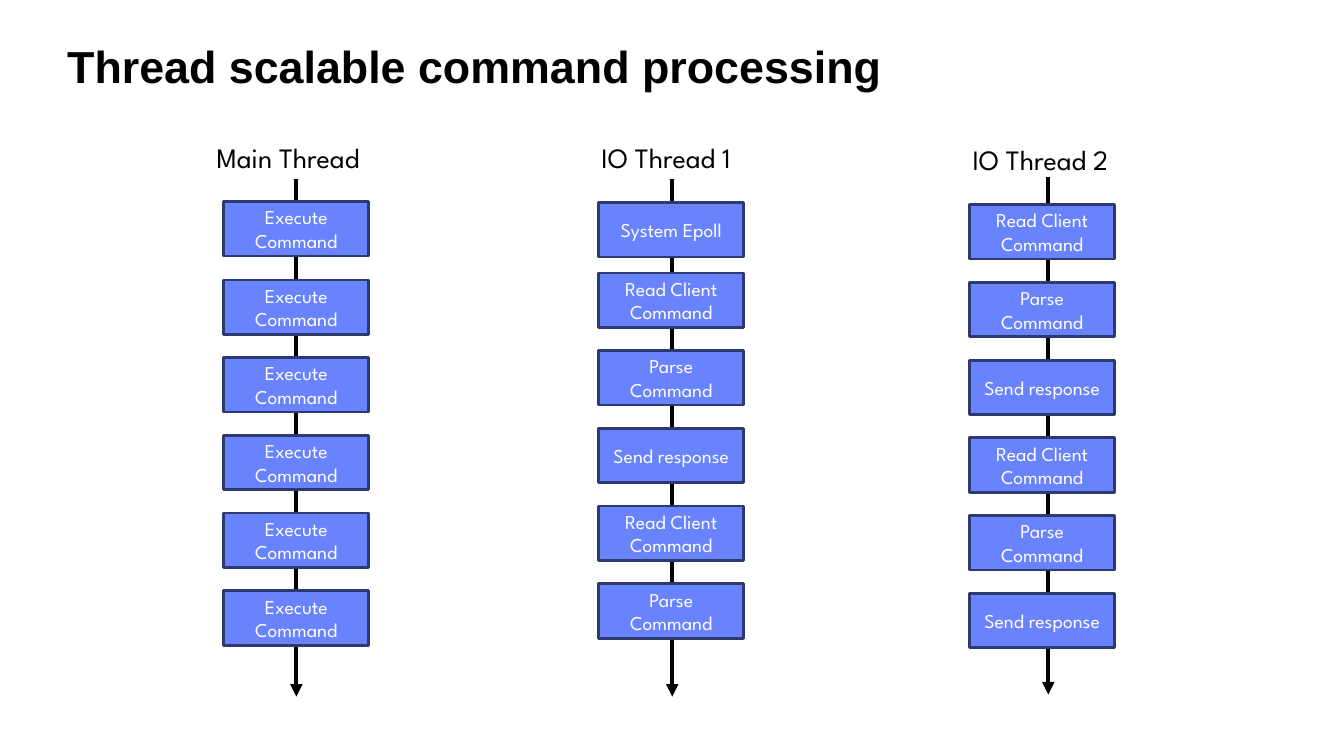
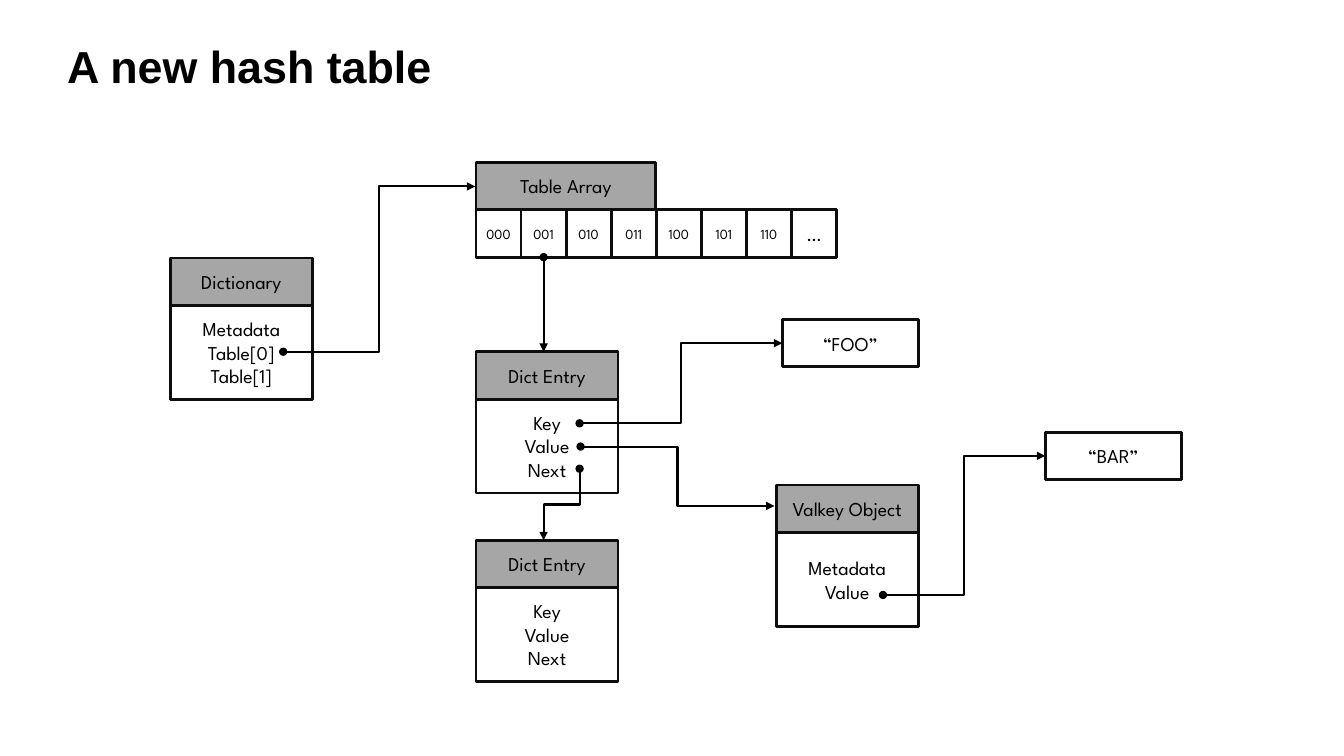
import pptx
import pptx.dml.color
import pptx.enum.shapes
import pptx.enum.text
import pptx.oxml.ns
import pptx.oxml.xmlchemy
import pptx.util

Pt = pptx.util.Pt
RGBColor = pptx.dml.color.RGBColor
OxmlElement = pptx.oxml.xmlchemy.OxmlElement
ALIGN = pptx.enum.text.PP_ALIGN
ANCHOR = pptx.enum.text.MSO_ANCHOR
CONNECTOR = pptx.enum.shapes.MSO_CONNECTOR
RECTANGLE = pptx.enum.shapes.MSO_SHAPE.RECTANGLE

BLACK = RGBColor(0x00, 0x00, 0x00)
WHITE = RGBColor(0xFF, 0xFF, 0xFF)
BLUE = RGBColor(0x69, 0x83, 0xFF)
NAVY = RGBColor(0x2E, 0x39, 0x70)
GRAY = RGBColor(0xA6, 0xA6, 0xA6)
INK = RGBColor(0x0D, 0x0D, 0x0D)
TITLE_FONT = "Arial"
BODY_FONT = "League Spartan"

EXECUTE = "Execute Command"
READ = "Read Client Command"
PARSE = "Parse Command"
SEND = "Send response"

# name, label left and top, step left, first and second step top, arrow x and top
THREADS = [
    ("Main Thread", 147.6, 96.5, 159.8, 144, 200, 211.7, 128.2, [EXECUTE] * 6),
    ("IO Thread 1", 422.6, 96.5, 427.7, 144.7, 195, 480.2, 128.2,
     ["System Epoll", READ, PARSE, SEND, READ, PARSE]),
    ("IO Thread 2", 687.6, 97.9, 692.6, 146.2, 201.8, 748.8, 126.7,
     [READ, PARSE, SEND, READ, PARSE, SEND]),
]
STEP_WIDTH, STEP_HEIGHT, STEP_PITCH = 103.7, 38.9, 55.5
THREAD_LENGTH = 369.4

# title, left, top, fields
CARDS = [
    ("Dictionary", 121.7, 184.3, ["Metadata", "Table[0]", "Table[1]"]),
    ("Dict Entry", 340, 251.3, ["Key", "Value", "Next"]),
    ("Dict Entry", 340, 385.9, ["Key", "Value", "Next"]),
    ("Valkey Object", 554.4, 346.5, ["Metadata", "Value"]),
]
CARD_WIDTH, ROW_HEIGHT, FIELDS_HEIGHT = 101.5, 33.9, 67

BUCKETS = ["000", "001", "010", "011", "100", "101", "110", "…"]
ARRAY_LEFT, ARRAY_TOP, ARRAY_TITLE_WIDTH, BUCKET_WIDTH = 340, 115.9, 128.5, 32.2

STRINGS = [("“FOO”", 558.7, 228.2), ("“BAR”", 746.6, 308.9)]
STRING_WIDTH = 97.2

# begin and end of each sideways pointer
POINTERS = [
    ((202.3, 251.3), (339.5, 133.2)),
    ((414, 302.4), (558.7, 245.2)),
    ((414.7, 319), (553.2, 361.4)),
    ((630.7, 425), (746.6, 325.6)),
]
NEXT_POINTER = ((414, 334.8), (388.3, 385.9))


def format_text(text_frame, size, color, font=BODY_FONT, bold=False, align=None):
    for paragraph in text_frame.paragraphs:
        paragraph.alignment = align
        for run in paragraph.runs:
            run.font.size = Pt(size)
            run.font.name = font
            run.font.bold = bold
            run.font.color.rgb = color


def set_margins(text_frame, margin):
    text_frame.margin_left = text_frame.margin_right = Pt(margin)
    text_frame.margin_top = text_frame.margin_bottom = Pt(margin)


def add_label(slide, text, left, top, width, height):
    label = slide.shapes.add_textbox(Pt(left), Pt(top), Pt(width), Pt(height))
    label.text_frame.word_wrap = True
    label.text_frame.text = text
    return label.text_frame


def add_titled_slide(presentation, title):
    slide = presentation.slides.add_slide(presentation.slide_layouts[6])
    text_frame = add_label(slide, title, 48, 31.7, 871, 34.6)
    set_margins(text_frame, 0)
    text_frame.paragraphs[0].line_spacing = 0.9
    format_text(text_frame, 32, BLACK, TITLE_FONT, bold=True)
    return slide


def add_box(slide, text, left, top, width, height, fill=WHITE, line=INK,
            color=BLACK, size=14):
    box = slide.shapes.add_shape(RECTANGLE, Pt(left), Pt(top), Pt(width), Pt(height))
    box.shadow.inherit = False
    box.fill.solid()
    box.fill.fore_color.rgb = fill
    box.line.color.rgb = line
    box.line.width = Pt(2)
    box.text_frame.word_wrap = True
    box.text_frame.vertical_anchor = ANCHOR.MIDDLE
    box.text_frame.text = text
    format_text(box.text_frame, size, color, align=ALIGN.CENTER)
    return box


def add_arrow(slide, kind, begin, end, width=1.5, dot=True):
    """Draw a black arrow, with a round dot at its beginning if asked."""
    arrow = slide.shapes.add_connector(kind, *[Pt(value) for value in begin + end])
    arrow.line.color.rgb = BLACK
    arrow.line.width = Pt(width)
    properties = arrow._element.spPr
    outline = properties.find(pptx.oxml.ns.qn("a:ln"))
    ends = [("a:headEnd", "oval")] if dot else []
    for tag, shape_type in ends + [("a:tailEnd", "triangle")]:
        element = OxmlElement(tag)
        element.set("type", shape_type)
        outline.append(element)
    properties.append(OxmlElement("a:effectLst"))
    return arrow


def add_downward_elbow(slide, begin, end):
    """Draw a down-left-down elbow: a sideways one turned by 90 degrees."""
    center_x, center_y = (begin[0] + end[0]) / 2, (begin[1] + end[1]) / 2
    half_run, half_rise = (end[1] - begin[1]) / 2, (begin[0] - end[0]) / 2
    arrow = add_arrow(slide, CONNECTOR.ELBOW,
                      (center_x - half_run, center_y - half_rise),
                      (center_x + half_run, center_y + half_rise))
    transform = arrow._element.spPr.find(pptx.oxml.ns.qn("a:xfrm"))
    transform.set("rot", str(90 * 60000))


def add_thread(slide, name, label_left, label_top, left, first_top, second_top,
               arrow_x, arrow_top, steps):
    add_arrow(slide, CONNECTOR.STRAIGHT, (arrow_x, arrow_top),
              (arrow_x, arrow_top + THREAD_LENGTH), width=3, dot=False)
    format_text(add_label(slide, name, label_left, label_top, 128, 31.7), 20, BLACK)
    tops = [first_top] + [second_top + STEP_PITCH * i for i in range(len(steps) - 1)]
    for step, top in zip(steps, tops):
        add_box(slide, step, left, top, STEP_WIDTH, STEP_HEIGHT, BLUE, NAVY, WHITE)


def add_card(slide, title, left, top, fields):
    add_box(slide, title, left, top, CARD_WIDTH, ROW_HEIGHT, GRAY)
    add_box(slide, "\n".join(fields), left, top + ROW_HEIGHT, CARD_WIDTH, FIELDS_HEIGHT)


def add_table_array(slide):
    """Draw the array and return its bucket boxes by name."""
    add_box(slide, "Table Array", ARRAY_LEFT, ARRAY_TOP, ARRAY_TITLE_WIDTH,
            ROW_HEIGHT, GRAY)
    boxes = {}
    for index, bucket in enumerate(BUCKETS):
        box = add_box(slide, bucket, ARRAY_LEFT + index * BUCKET_WIDTH,
                      ARRAY_TOP + ROW_HEIGHT, BUCKET_WIDTH, ROW_HEIGHT,
                      size=10 if bucket.isdigit() else 14)
        set_margins(box.text_frame, 0)
        boxes[bucket] = box
    return boxes


def build_threads_slide(presentation):
    slide = add_titled_slide(presentation, "Thread scalable command processing")
    for thread in THREADS:
        add_thread(slide, *thread)


def build_hash_table_slide(presentation):
    slide = add_titled_slide(presentation, "A new hash table")
    buckets = add_table_array(slide)
    for card in CARDS:
        add_card(slide, *card)
    for text, left, top in STRINGS:
        add_box(slide, text, left, top, STRING_WIDTH, ROW_HEIGHT)
    for begin, end in POINTERS:
        add_arrow(slide, CONNECTOR.ELBOW, begin, end)
    add_downward_elbow(slide, *NEXT_POINTER)
    bucket_x = ARRAY_LEFT + 1.5 * BUCKET_WIDTH
    bucket_arrow = add_arrow(slide, CONNECTOR.STRAIGHT,
                             (bucket_x, ARRAY_TOP + 2 * ROW_HEIGHT),
                             (bucket_x, CARDS[1][2]))
    bucket_arrow.begin_connect(buckets["001"], 2)


def main():
    presentation = pptx.Presentation()
    presentation.slide_width = Pt(960)
    presentation.slide_height = Pt(540)
    build_threads_slide(presentation)
    build_hash_table_slide(presentation)
    presentation.save("out.pptx")


if __name__ == "__main__":
    main()
